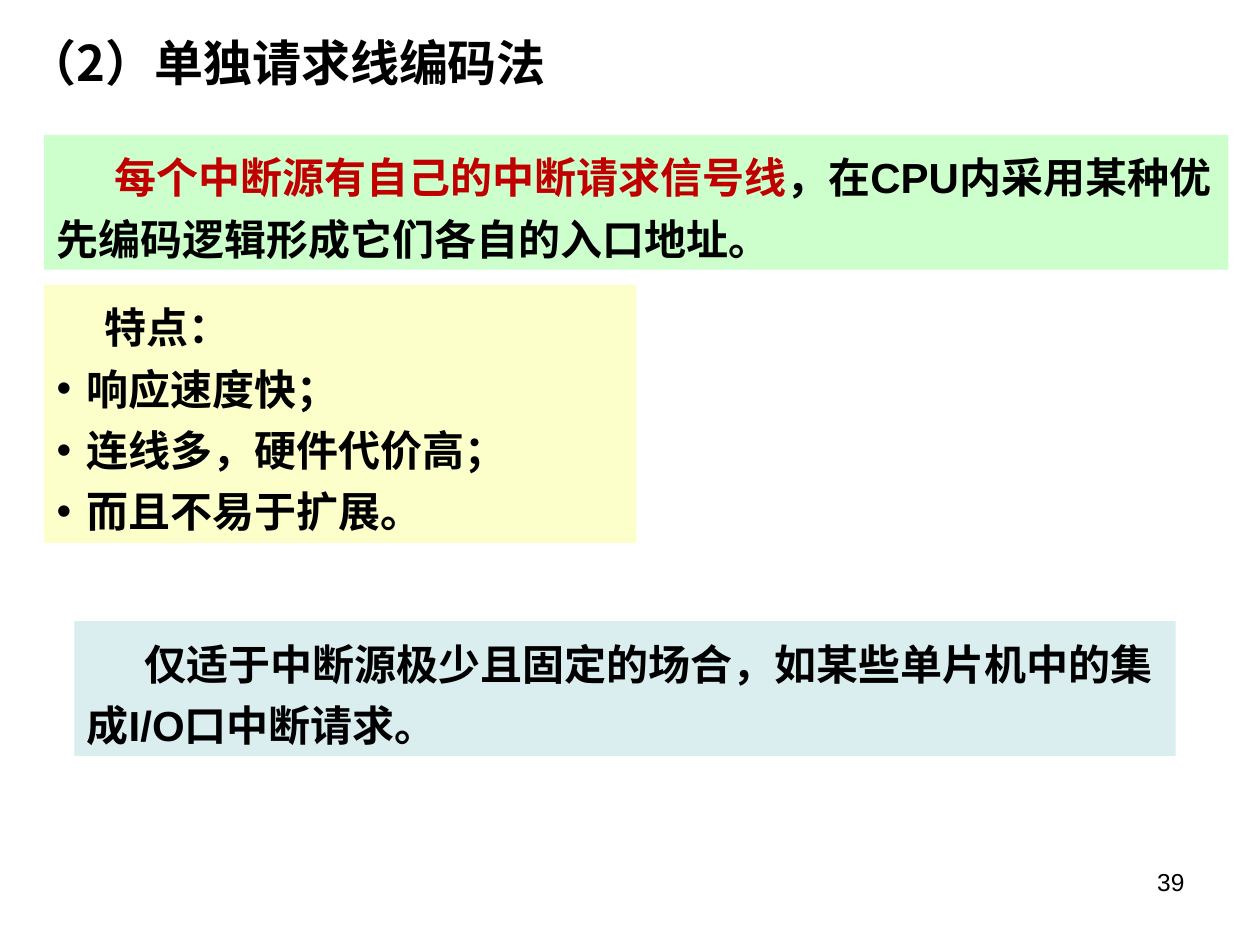
from lxml import etree
from pptx import Presentation
from pptx.dml.color import RGBColor
from pptx.enum import shapes, text
from pptx.oxml import ns
from pptx.util import Inches, Pt

BLACK = RGBColor(0, 0, 0)
RED = RGBColor(0xC0, 0, 0)
GREEN = RGBColor(0xCC, 0xFF, 0xCC)
YELLOW = RGBColor(0xFD, 0xFF, 0xCB)
BLUE = RGBColor(0xDA, 0xED, 0xEF)
LATIN = "Arial"
CJK = "Noto Sans CJK SC"


def place(sp, left, top, width, height):
    sp.left, sp.top = Inches(left), Inches(top)
    sp.width, sp.height = Inches(width), Inches(height)


def prepare_frame(tf, anchor):
    tf.word_wrap = True
    tf.auto_size = text.MSO_AUTO_SIZE.NONE
    tf.vertical_anchor = anchor


def style_run(r, size=24, color=BLACK, name=LATIN, bold=True):
    r.font.size = Pt(size)
    r.font.bold = bold
    r.font.color.rgb = color
    r.font.name = name
    ea = etree.SubElement(r._r.get_or_add_rPr(), ns.qn("a:ea"))
    ea.set("typeface", CJK)


def format_paragraph(p, margin, indent, bullet=None):
    pPr = p._p.get_or_add_pPr()
    pPr.set("marL", str(Inches(margin)))
    pPr.set("indent", str(Inches(indent)))
    if bullet:
        etree.SubElement(pPr, ns.qn("a:buFont")).set("typeface", LATIN)
        etree.SubElement(pPr, ns.qn("a:buChar")).set("char", bullet)
    else:
        etree.SubElement(pPr, ns.qn("a:buNone"))
    p.alignment = text.PP_ALIGN.LEFT
    p.line_spacing = Pt(35)
    p.space_before = Pt(0)


def set_title(s, title):
    sp = s.shapes.title
    place(sp, 0.12, 0.21, 5.51, 0.57)
    tf = sp.text_frame
    prepare_frame(tf, text.MSO_ANCHOR.MIDDLE)
    tf.text = title
    p = tf.paragraphs[0]
    p.alignment = text.PP_ALIGN.LEFT
    style_run(p.runs[0], size=28, name=CJK)


def add_statement(s, box, fill, parts):
    sp = s.shapes.add_shape(shapes.MSO_SHAPE.RECTANGLE, 0, 0, 0, 0)
    place(sp, *box)
    sp.shadow.inherit = False
    sp.fill.solid()
    sp.fill.fore_color.rgb = fill
    sp.line.fill.background()
    tf = sp.text_frame
    prepare_frame(tf, text.MSO_ANCHOR.TOP)
    p = tf.paragraphs[0]
    format_paragraph(p, 0, 0.46)
    for words, color in parts:
        r = p.add_run()
        r.text = words
        style_run(r, color=color)


def fill_features(s, heading, items):
    sp = s.placeholders[1]
    place(sp, 0.35, 2.26, 4.7, 2.05)
    sp.fill.solid()
    sp.fill.fore_color.rgb = YELLOW
    tf = sp.text_frame
    prepare_frame(tf, text.MSO_ANCHOR.TOP)
    tf.text = "\n".join([heading] + items)
    first, *rest = tf.paragraphs
    format_paragraph(first, 0, 0.38)
    for p in rest:
        format_paragraph(p, 0.24, -0.24, "•")
    for p in tf.paragraphs:
        style_run(p.runs[0])


def add_page_number(s, number):
    sp = s.shapes.add_textbox(0, 0, 0, 0)
    place(sp, 7.17, 6.83, 2.33, 0.52)
    tf = sp.text_frame
    prepare_frame(tf, text.MSO_ANCHOR.TOP)
    tf.text = number
    p = tf.paragraphs[0]
    p.alignment = text.PP_ALIGN.RIGHT
    style_run(p.runs[0], size=14, bold=False)


def main():
    prs = Presentation()
    prs.slide_width, prs.slide_height = Inches(10), Inches(7.5)
    s = prs.slides.add_slide(prs.slide_layouts[1])
    set_title(s, "（2）单独请求线编码法")
    add_statement(s, (0.35, 1.07, 9.4, 1.07), GREEN, [
        ("每个中断源有自己的中断请求信号线", RED),
        ("，在CPU内采用某种优先编码逻辑形成它们各自的入口地址。", BLACK),
    ])
    fill_features(s, "特点：", ["响应速度快；", "连线多，硬件代价高；", "而且不易于扩展。"])
    add_statement(s, (0.59, 4.93, 8.74, 1.07), BLUE, [
        ("仅适于中断源极少且固定的场合，如某些单片机中的集成I/O口中断请求。", BLACK),
    ])
    add_page_number(s, "39")
    prs.save("out.pptx")


if __name__ == "__main__":
    main()
